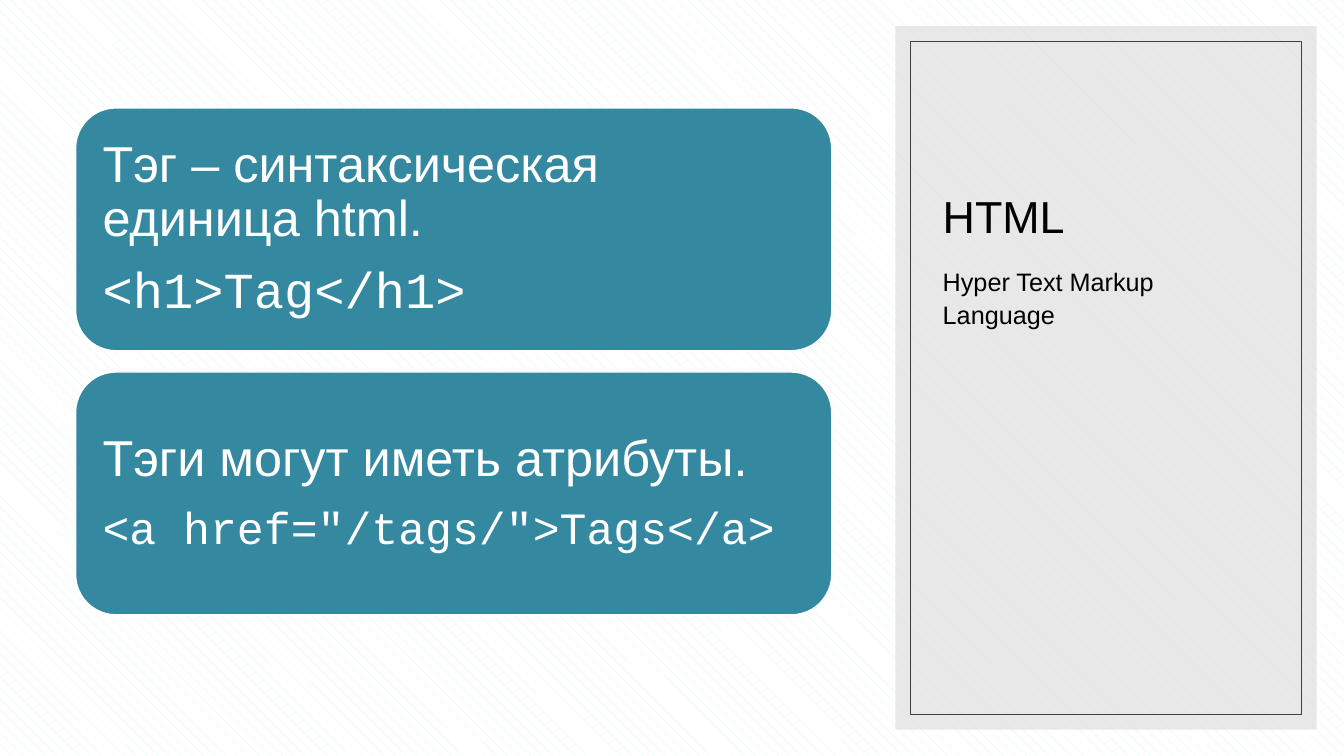
import pptx
import pptx.dml.color
import pptx.enum.dml
import pptx.enum.shapes
import pptx.enum.text
import pptx.oxml
import pptx.util

Inches, Pt = pptx.util.Inches, pptx.util.Pt
Anchor = pptx.enum.text.MSO_ANCHOR
Preset = pptx.enum.shapes.MSO_SHAPE
COLORS = {"teal": "3488A0", "white": "FFFFFF", "mist": "DEF4F7",
          "panel": "D9D9D9", "frame": "404040", "ink": "000000"}
RGB = {name: pptx.dml.color.RGBColor.from_string(code) for name, code in COLORS.items()}


def add_box(page, preset, area, fill=None, line=None, width=1):
    box = page.shapes.add_shape(preset, *map(Inches, area))
    box.shadow.inherit = False
    for part, color in ((box.fill, fill), (box.line.fill, line)):
        if color:
            part.solid()
            part.fore_color.rgb = RGB[color]
        else:
            part.background()
    if line:
        box.line.width = Pt(width)
    return box


def write(para, text, color, font, size, **spacing):
    span = para.add_run()
    span.text = text
    span.font.color.rgb = RGB[color]
    for name, value in {"name": font, "size": Pt(size), "bold": False}.items():
        setattr(span.font, name, value)
    para.alignment = pptx.enum.text.PP_ALIGN.LEFT
    for name, value in spacing.items():
        setattr(para, name, value)


deck = pptx.Presentation()
deck.slide_width, deck.slide_height = Inches(13.33), Inches(7.5)
page = deck.slides.add_slide(deck.slide_layouts.get_by_name("Content with Caption"))
backdrop = page.background.fill
backdrop.patterned()
backdrop.pattern = pptx.enum.dml.MSO_PATTERN.SHINGLE
backdrop.fore_color.rgb, backdrop.back_color.rgb = RGB["mist"], RGB["white"]

# Side panel with its inset frame
left, top, width, height, inset = 8.88, 0.26, 4.18, 6.98, 0.15
panel = add_box(page, Preset.RECTANGLE, (left, top, width, height), fill="panel")
tint = panel.fill._xPr.find(".//" + pptx.oxml.ns.qn("a:srgbClr"))
pptx.oxml.xmlchemy.OxmlElement("a:alpha")
alpha = tint.makeelement(pptx.oxml.ns.qn("a:alpha"), {"val": "60000"})
tint.append(alpha)
add_box(page, Preset.RECTANGLE,
        (left + inset, top + inset, width - 2 * inset, height - 2 * inset),
        line="frame", width=0.5)

# Title and caption on the panel
title, unused, caption = page.placeholders
unused.element.getparent().remove(unused.element)
for box, y, tall, anchor, text, size, spacing in (
    (title, 0.66, 1.8, Anchor.BOTTOM, "HTML", 32, {}),
    (caption, 2.56, 3.94, Anchor.TOP, "Hyper Text Markup Language", 18,
     {"line_spacing": 1.1, "space_before": Pt(8)}),
):
    box.left, box.top, box.width, box.height = map(Inches, (9.25, y, 3.46, tall))
    box.element.getparent().append(box.element)
    frame = box.text_frame
    frame.auto_size = pptx.enum.text.MSO_AUTO_SIZE.NONE
    frame.vertical_anchor = anchor
    write(frame.paragraphs[0], text, "ink", "Arial", size, **spacing)

# Cards: a statement above its code sample
card_top, card_height, card_pitch = 1.07, 2.41, 2.62
cards = (
    ("Тэг – синтаксическая единица html.", "<h1>Tag</h1>", 36),
    ("Тэги могут иметь атрибуты.", '<a href="/tags/">Tags</a>', 32),
)
for row, (statement, code, code_size) in enumerate(cards):
    card = add_box(page, Preset.ROUNDED_RECTANGLE,
                   (0.75, card_top + row * card_pitch, 7.5, card_height),
                   fill="teal", line="white")
    frame = card.text_frame
    frame.word_wrap = True
    frame.vertical_anchor = Anchor.MIDDLE
    # The preset's text area already starts 0.12 inside the rounded corners
    for side in ("left", "right", "top", "bottom"):
        setattr(frame, "margin_" + side, Inches(inset))
    spacing = {"line_spacing": 0.9, "space_after": Pt(12.6)}
    write(frame.paragraphs[0], statement, "white", "Arial", 36, **spacing)
    write(frame.add_paragraph(), code, "white", "Courier New", code_size, **spacing)

deck.save("out.pptx")
